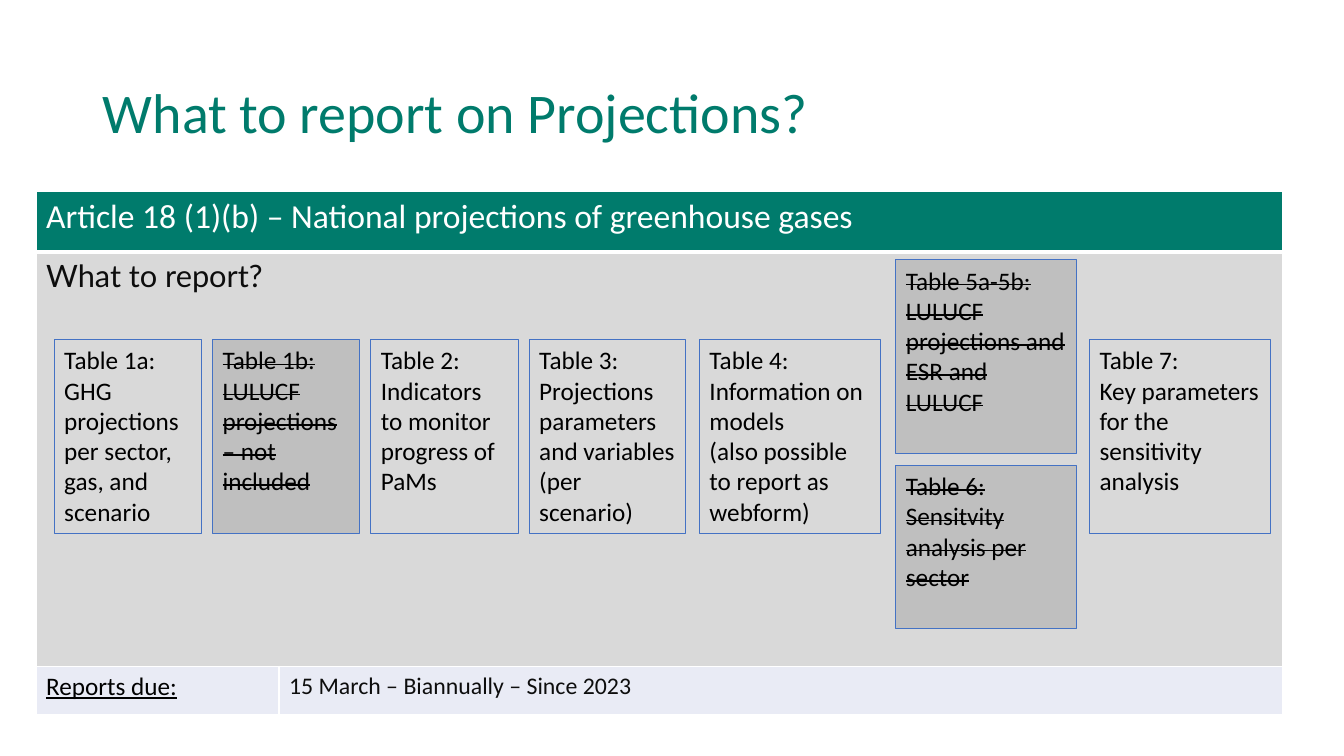
from dataclasses import dataclass

from lxml import etree
from pptx import Presentation
from pptx import util as u
from pptx.dml.color import RGBColor
from pptx.enum import shapes, text
from pptx.oxml.ns import qn

COLORS = {
    "green": "007B6C",
    "white": "FFFFFF",
    "black": "000000",
    "ink": "0D0D0D",
    "panel": "D9D9D9",
    "excluded": "BFBFBF",
    "due": "E9EBF5",
    "outline": "4472C4",
}

ROW_TOP, BOX_HEIGHT = 8.56, 4.88
FIRST_LEFT, PITCH = 1.37, 3.99
NARROW, WIDE = 3.71, 4.55


@dataclass
class ReportBox:
    left: float
    width: float
    paragraphs: list[str]
    excluded: bool = False
    top: float = ROW_TOP
    height: float = BOX_HEIGHT


@dataclass
class ReportCell:
    row: int
    col: int
    words: str
    size: float
    color: str
    fill: str
    font: str = "Calibri"
    underline: bool = False
    span: bool = False
    bottom: float = 1


BOXES = [
    ReportBox(FIRST_LEFT, NARROW,
              ["Table 1a:\nGHG projections per sector, gas, and scenario"]),
    ReportBox(FIRST_LEFT + PITCH, NARROW,
              ["Table 1b:\nLULUCF projections – not included"], True),
    ReportBox(FIRST_LEFT + 2 * PITCH, NARROW,
              ["Table 2:\nIndicators to monitor progress of PaMs"]),
    ReportBox(FIRST_LEFT + 3 * PITCH, 3.94,
              ["Table 3:\nProjections parameters and variables", "(per scenario)"]),
    ReportBox(17.63, WIDE,
              ["Table 4:\nInformation on models", "(also possible to report as webform)"]),
    ReportBox(22.58, WIDE,
              ["Table 5a-5b:\nLULUCF projections and ESR and LULUCF"], True, top=6.55),
    ReportBox(22.58, WIDE,
              ["Table 6:\nSensitvity analysis per sector"], True, top=11.73, height=4.11),
    ReportBox(27.46, WIDE,
              ["Table 7:\nKey parameters for the sensitivity analysis"]),
]

CELLS = [
    ReportCell(0, 0, "Article 18 (1)(b) – National projections of greenhouse gases",
               24, "white", "green", span=True, bottom=3),
    ReportCell(1, 0, "What to report?", 22, "ink", "panel", font="Lato", span=True),
    ReportCell(2, 0, "Reports due:", 18, "black", "due", underline=True),
    ReportCell(2, 1, "15 March – Biannually – Since 2023", 17, "ink", "due"),
]


def rgb(name: str) -> RGBColor:
    return RGBColor.from_string(COLORS[name])


def add_run(p, words: str, size: float, color: str, font: str = "Calibri"):
    r = p.add_run()
    r.text = words
    r.font.size = u.Pt(size)
    r.font.name = font
    r.font.bold = False
    r.font.color.rgb = rgb(color)
    return r


def set_borders(cell, bottom: float) -> None:
    tc_pr = cell._tc.get_or_add_tcPr()
    for side, width in (("L", 1), ("R", 1), ("T", 1), ("B", bottom)):
        ln = etree.SubElement(tc_pr, qn(f"a:ln{side}"), w=str(u.Pt(width)))
        fill = etree.SubElement(ln, qn("a:solidFill"))
        etree.SubElement(fill, qn("a:srgbClr"), val=COLORS["white"])


def fill_cell(table, item: ReportCell) -> None:
    cell = table.cell(item.row, item.col)
    covered = [cell]
    if item.span:
        last = table.cell(item.row, 1)
        cell.merge(last)
        covered.append(last)
    for part in covered:
        set_borders(part, item.bottom)
        part.fill.solid()
        part.fill.fore_color.rgb = rgb(item.fill)
    r = add_run(cell.text_frame.paragraphs[0], item.words, item.size, item.color, item.font)
    r.font.underline = item.underline


def add_report_table(s) -> None:
    frame = s.shapes.add_table(3, 2, u.Cm(0.91), u.Cm(4.83), u.Cm(31.4), u.Cm(13.18))
    table = frame.table
    for col, width in zip(table.columns, (6.12, 25.28)):
        col.width = u.Cm(width)
    for row, height in zip(table.rows, (1.52, 10.44, 1.22)):
        row.height = u.Cm(height)
    for item in CELLS:
        fill_cell(table, item)


def add_report_box(s, box: ReportBox) -> None:
    sp = s.shapes.add_shape(shapes.MSO_SHAPE.RECTANGLE, u.Cm(box.left), u.Cm(box.top),
                            u.Cm(box.width), u.Cm(box.height))
    sp.shadow.inherit = False
    if box.excluded:
        sp.fill.solid()
        sp.fill.fore_color.rgb = rgb("excluded")
    else:
        sp.fill.background()
    sp.line.color.rgb = rgb("outline")
    sp.line.width = u.Pt(0.75)
    tf = sp.text_frame
    tf.word_wrap = True
    tf.auto_size = text.MSO_AUTO_SIZE.SHAPE_TO_FIT_TEXT
    tf.vertical_anchor = text.MSO_ANCHOR.TOP
    for i, words in enumerate(box.paragraphs):
        p = tf.add_paragraph() if i else tf.paragraphs[0]
        p.alignment = text.PP_ALIGN.LEFT
        for j, line in enumerate(words.split("\n")):
            if j:
                p.add_line_break()
            r = add_run(p, line, 18, "black")
            if box.excluded:
                r._r.get_or_add_rPr().set("strike", "sngStrike")


def add_title(s) -> None:
    sp = s.shapes.title
    sp.left, sp.top, sp.width, sp.height = map(u.Cm, (2.34, 1.02, 30.23, 3.76))
    tf = sp.text_frame
    tf.word_wrap = True
    tf.vertical_anchor = text.MSO_ANCHOR.MIDDLE
    p = tf.paragraphs[0]
    p.alignment = text.PP_ALIGN.LEFT
    p.line_spacing = 0.9
    add_run(p, "What to report on Projections?", 40, "green")


def main() -> None:
    prs = Presentation()
    prs.slide_width, prs.slide_height = u.Cm(33.87), u.Cm(19.05)
    s = prs.slides.add_slide(prs.slide_layouts[5])
    add_title(s)
    add_report_table(s)
    for box in BOXES:
        add_report_box(s, box)
    prs.save("out.pptx")


if __name__ == "__main__":
    main()
